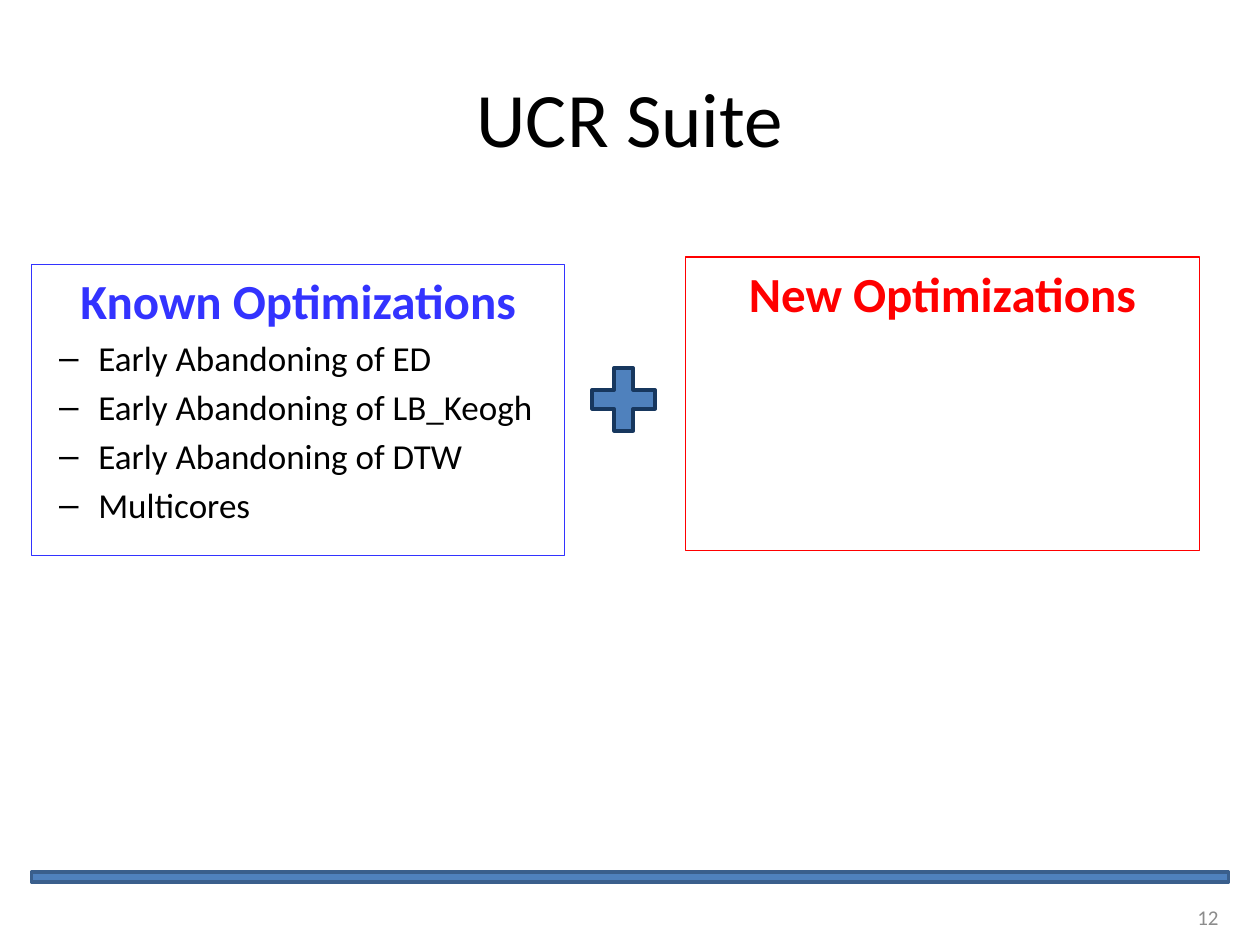
"""Builds the UCR Suite slide with its known and new optimizations."""
from lxml import etree
from pptx import Presentation
from pptx.dml.color import RGBColor
from pptx.enum.shapes import MSO_SHAPE
from pptx.enum.text import MSO_ANCHOR, MSO_AUTO_SIZE, PP_ALIGN
from pptx.oxml.ns import qn
from pptx.util import Inches, Pt

RECTANGLE, PLUS = MSO_SHAPE.RECTANGLE, MSO_SHAPE.CROSS
TOP, MIDDLE = MSO_ANCHOR.TOP, MSO_ANCHOR.MIDDLE
LEFT, CENTER, RIGHT = PP_ALIGN.LEFT, PP_ALIGN.CENTER, PP_ALIGN.RIGHT
NO_AUTOFIT = MSO_AUTO_SIZE.NONE


def paint(color_format, color):
    color_format.rgb = RGBColor.from_string(color)


def style(para, size, color, align, bold=False):
    para.alignment = align
    for span in para.runs:
        span.font.name = "Calibri"
        span.font.size = Pt(size)
        span.font.bold = bold
        paint(span.font.color, color)


deck = Presentation()
deck.slide_width, deck.slide_height = Inches(10), Inches(7.5)
page = deck.slides.add_slide(deck.slide_layouts[3])
title, known_box, new_box = page.placeholders

shapes = [
    (RECTANGLE, (0.25, 6.92, 9.5, 0.08), "3A5F8C"),
    (PLUS, (4.7, 2.92, 0.5, 0.5), "17375E"),
]
for kind, place, outline in shapes:
    shape = page.shapes.add_shape(kind, *map(Inches, place))
    shape.shadow.inherit = False
    shape.fill.solid()
    paint(shape.fill.fore_color, "4F81BD")
    paint(shape.line.color, outline)
    shape.line.width = Pt(2)
    if kind == PLUS:
        shape.adjustments[0] = 0.35

title.left, title.top, title.width, title.height = map(Inches, (0.5, 0.3, 9, 1.25))
title.text_frame.text = "UCR Suite"
title.text_frame.vertical_anchor = MIDDLE
style(title.text_frame.paragraphs[0], 44, "000000", CENTER)

known_items = [
    "Early Abandoning of ED",
    "Early Abandoning of LB_Keogh",
    "Early Abandoning of DTW",
    "Multicores",
]
boxes = [
    (known_box, (0.25, 2.1, 4.23, 2.31), "3333FF", "Known Optimizations", known_items),
    (new_box, (5.44, 2.04, 4.08, 2.33), "FF0000", "New Optimizations", []),
]
for box, place, color, heading, items in boxes:
    box.left, box.top, box.width, box.height = map(Inches, place)
    paint(box.line.color, color)
    box.line.width = Pt(0.75)
    frame = box.text_frame
    frame.auto_size = NO_AUTOFIT
    frame.vertical_anchor = TOP
    frame.text = heading
    para = frame.paragraphs[0]
    style(para, 28, color, CENTER, bold=True)
    properties = para._p.get_or_add_pPr()
    properties.set("marL", str(Inches(0.38)))
    properties.set("indent", str(Inches(-0.38)))
    etree.SubElement(properties, qn("a:buNone"))
    for item in items:
        para = frame.add_paragraph()
        para.text = item
        para.level = 1
        style(para, 20, "000000", LEFT)
        properties = para._p.get_or_add_pPr()
        properties.set("marL", str(Inches(0.43)))
        properties.set("indent", str(Inches(-0.31)))
        etree.SubElement(properties, qn("a:buChar")).set("char", "–")

number_box = page.shapes.add_textbox(*map(Inches, (7.44, 7.08, 2.33, 0.4)))
number_box.text_frame.word_wrap = True
number_box.text_frame.vertical_anchor = MIDDLE
number_box.text_frame.text = "12"
style(number_box.text_frame.paragraphs[0], 12, "8C8C8C", RIGHT)

deck.save("out.pptx")
